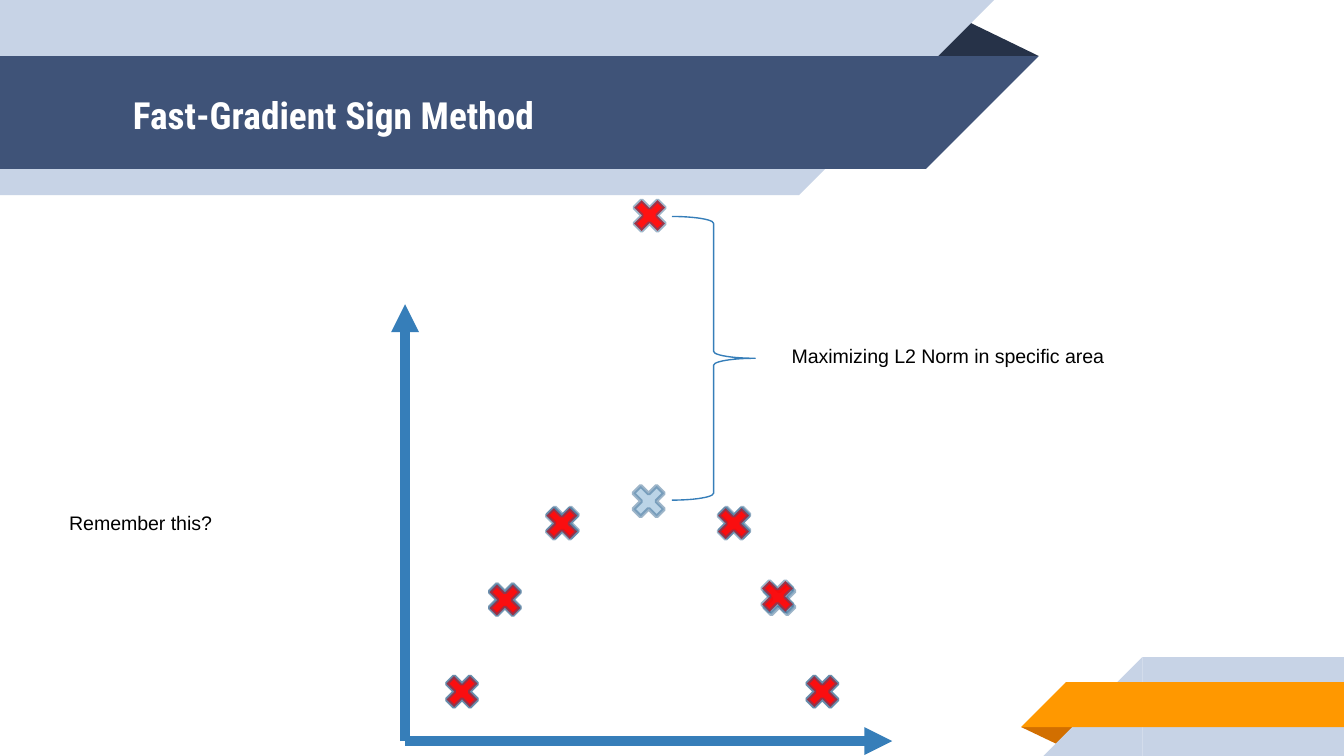
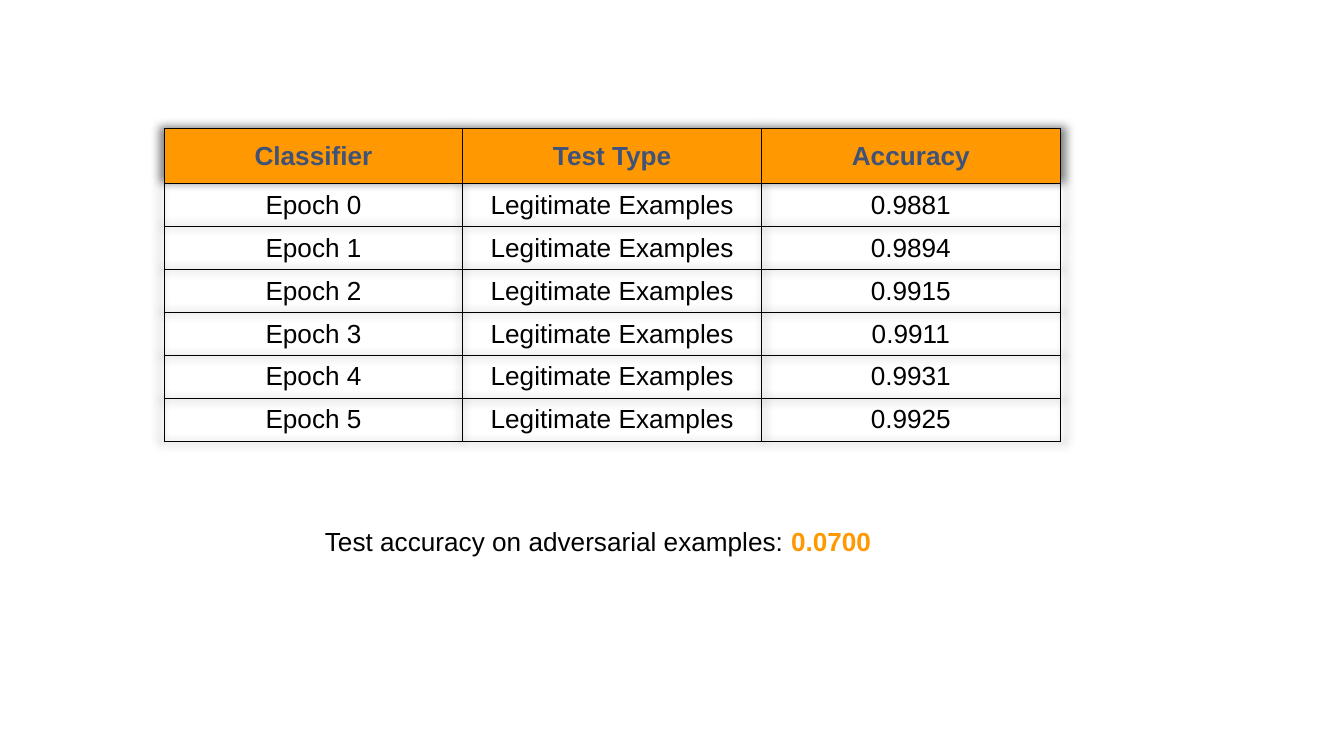
from lxml import etree
from pptx import Presentation
from pptx.dml.color import RGBColor
from pptx.enum.shapes import MSO_CONNECTOR, MSO_SHAPE
from pptx.enum.text import MSO_ANCHOR, MSO_AUTO_SIZE, PP_ALIGN
from pptx.oxml.ns import qn
from pptx.util import Pt

RECT, WEDGE, FOLD = MSO_SHAPE.RECTANGLE, MSO_SHAPE.RIGHT_TRIANGLE, MSO_SHAPE.ISOSCELES_TRIANGLE
CROSS, BRACE = MSO_SHAPE.MATH_MULTIPLY, MSO_SHAPE.RIGHT_BRACE
STRAIGHT = MSO_CONNECTOR.STRAIGHT
MIDDLE, LEFT, CENTER = MSO_ANCHOR.MIDDLE, PP_ALIGN.LEFT, PP_ALIGN.CENTER
GROW, FIXED = MSO_AUTO_SIZE.SHAPE_TO_FIT_TEXT, MSO_AUTO_SIZE.NONE

COLORS = {
    "pale": "C7D3E6", "navy": "3F5378", "dark": "263248",
    "orange": "FF9800", "rust": "D26F00", "gold": "FF9801",
    "axis": "367EB9", "blue": "3A81BA", "edge": "2B5F8A",
    "red": "FF0000", "white": "FFFFFF", "black": "000000",
}
SANS, HEAD = "Arial", "Roboto Condensed"
SIZE = 24

BLUES = [(18.5, 195.5), (41.5, 146), (72.5, 105), (118.5, 93.5),
         (164.5, 105), (188.5, 146), (211.5, 195.5)]
REDS = [(18.5, 195.5), (41.5, 146.5), (72, 105.5), (119, -59.5),
        (164, 105.5), (187.5, 144.5), (211.5, 195.5)]
HEADS = ["Classifier", "Test Type", "Accuracy"]
SCORES = ["0.9881", "0.9894", "0.9915", "0.9911", "0.9931", "0.9925"]


def color(name):
    """Return the named colour."""
    return RGBColor.from_string(COLORS[name])


def child(parent, tag, **attrs):
    """Append an XML element with the given attributes."""
    return etree.SubElement(parent, qn(tag), attrs)


def points(box):
    """Turn numbers into point lengths."""
    return [Pt(n) for n in box]


def add_run(para, text, size, tint="black", bold=False, font=SANS):
    """Add one styled run to a paragraph."""
    run = para.add_run()
    run.text = text
    run.font.name, run.font.size, run.font.bold = font, Pt(size), bold
    run.font.color.rgb = color(tint)


def add_shape(slide, kind, box, fill, turn=0, flip=False):
    """Add a flat preset shape without an outline."""
    shape = slide.shapes.add_shape(kind, *points(box))
    shape.shadow.inherit = False
    shape.fill.solid()
    shape.fill.fore_color.rgb = color(fill)
    shape.line.fill.background()
    shape.rotation = turn
    if flip:
        shape._element.spPr.find(qn("a:xfrm")).set("flipH", "1")
    return shape


def add_fold(slide, box, fill, turn=0):
    """Add the shaded fold of a ribbon."""
    add_shape(slide, FOLD, box, fill, turn).adjustments[0] = 0.324


def add_head(slide, box):
    """Draw the title ribbon from the left edge of a box."""
    left, top, width, height = box
    add_fold(slide, (left + width - 61, top + 10, 61, 20), "dark")
    for drop, span, tall, fill in [(0, 428, height, "pale"), (30, 496, 60.5, "navy")]:
        add_shape(slide, RECT, (left, top + drop, span, tall), fill, 180, True)
        add_shape(slide, WEDGE, (left + span, top + drop, tall, tall), fill, 180, True)


def add_foot(slide, box):
    """Draw the corner ribbon up to the right edge of a box."""
    left, top, width, height = box
    add_fold(slide, (left, top + 37.5, 31, 10), "rust", 180)
    for inset, drop, tall, fill in [(12, 0, height, "pale"), (0, 13.5, 24, "orange")]:
        start = inset + tall
        add_shape(slide, RECT, (left + start, top + drop, width - start, tall), fill, 0, True)
        add_shape(slide, WEDGE, (left + inset, top + drop, tall, tall), fill, 0, True)


def add_title(slide, box, text):
    """Fill the title placeholder and lift it above the ribbon."""
    title = slide.shapes.title
    title.left, title.top, title.width, title.height = points(box)
    frame = title.text_frame
    frame.auto_size, frame.word_wrap = FIXED, True
    frame.vertical_anchor = MIDDLE
    frame.margin_left = frame.margin_right = Pt(7.2)
    frame.margin_top = frame.margin_bottom = Pt(7.2)
    para = frame.paragraphs[0]
    para.alignment = LEFT
    add_run(para, text, 20, "white", True, HEAD)
    slide.shapes._spTree.append(title._element)


def add_note(slide, box, runs, size):
    """Add a one-line text box made of runs."""
    frame = slide.shapes.add_textbox(*points(box)).text_frame
    frame.word_wrap, frame.auto_size = False, GROW
    for text, tint, bold in runs:
        add_run(frame.paragraphs[0], text, size, tint, bold)


def add_arrow(slide, start, end):
    """Add a thick axis arrow."""
    line = slide.shapes.add_connector(STRAIGHT, *points(start + end))
    line.line.color.rgb = color("axis")
    line.line.width = Pt(5)
    child(line.line._get_or_add_ln(), "a:tailEnd", type="triangle")
    child(line._element.spPr, "a:effectLst")


def add_cross(slide, spot, fill, alpha):
    """Add a translucent data mark."""
    mark = add_shape(slide, CROSS, spot + (SIZE, SIZE), fill)
    mark.line.color.rgb = color("edge")
    mark.line.width = Pt(2)
    tints = list(mark._element.spPr.iter(qn("a:srgbClr")))
    for tint, part in zip(tints, (alpha, 46)):
        child(tint, "a:alpha", val=str(part * 1000))


def add_plot(slide, box):
    """Draw the axes, the marks and the brace in a box."""
    left, top, width, height = box
    base = top + height
    add_arrow(slide, (left, base), (left + width, base))
    add_arrow(slide, (left, base), (left, top))
    for spots, fill, alpha in [(BLUES, "blue", 34), (REDS, "red", 93)]:
        for x, y in spots:
            add_cross(slide, (left + x, top + y), fill, alpha)
    brace = add_shape(slide, BRACE, (left + 143, top - 47, 44.6, 152), "white")
    brace.fill.background()
    brace.line.color.rgb = color("axis")
    brace.line.width = Pt(0.75)


def set_cell(cell, text, head):
    """Style one bordered table cell."""
    cell.vertical_anchor = MIDDLE
    para = cell.text_frame.paragraphs[0]
    para.alignment = CENTER
    add_run(para, text, 14, "navy" if head else "black", head)
    props = cell._tc.get_or_add_tcPr()
    for side in "LRTB":
        edge = child(props, f"a:ln{side}", w=str(Pt(0.75)))
        child(child(edge, "a:solidFill"), "a:srgbClr", val=COLORS["black"])
    if head:
        cell.fill.solid()
        cell.fill.fore_color.rgb = color("gold")
    else:
        cell.fill.background()


def add_grid(slide, box):
    """Add the accuracy table with its soft shadow."""
    rows = [HEADS] + [[f"Epoch {i}", "Legitimate Examples", score]
                      for i, score in enumerate(SCORES)]
    table = slide.shapes.add_table(len(rows), len(HEADS), *points(box)).table
    table.first_row = table.horz_banding = False
    for col in table.columns:
        col.width = Pt(box[2] / len(HEADS))
    for r, row in enumerate(rows):
        table.rows[r].height = Pt(23 if r else 29.5)
        for c, text in enumerate(row):
            set_cell(table.cell(r, c), text, r == 0)
    props = table._tbl.tblPr
    glow = etree.Element(qn("a:effectLst"))
    cast = child(glow, "a:outerShdw", blurRad=str(Pt(5)), sx="101000", sy="101000",
                 algn="ctr", rotWithShape="0")
    child(child(cast, "a:srgbClr", val=COLORS["black"]), "a:alpha", val="50000")
    props.insert(0, glow)


def plot_slide(deck):
    """Build the slide on the sign method."""
    slide = deck.slides.add_slide(deck.slide_layouts[5])
    add_head(slide, (0, 0, 556.5, 104.5))
    add_foot(slide, (547, 352, 173, 53))
    add_title(slide, (64, 31, 414, 60.5), "Fast-Gradient Sign Method")
    add_plot(slide, (217, 163, 261, 234))
    for box, text in [((417, 180.7, 185, 20), "Maximizing L2 Norm in specific area"),
                      ((30, 270, 93, 20), "Remember this?")]:
        add_note(slide, box, [(text, "black", False)], 10.5)


def score_slide(deck):
    """Build the slide with the accuracy table."""
    slide = deck.slides.add_slide(deck.slide_layouts[6])
    add_grid(slide, (88, 69, 480, 167.5))
    add_note(slide, (167, 278, 309.6, 24.5),
             [("Test accuracy on adversarial examples: ", "black", False),
              ("0.0700", "gold", True)], 14)


def main():
    """Build and save the deck."""
    deck = Presentation()
    deck.slide_width, deck.slide_height = Pt(720), Pt(405)
    plot_slide(deck)
    score_slide(deck)
    deck.save("out.pptx")


if __name__ == "__main__":
    main()
